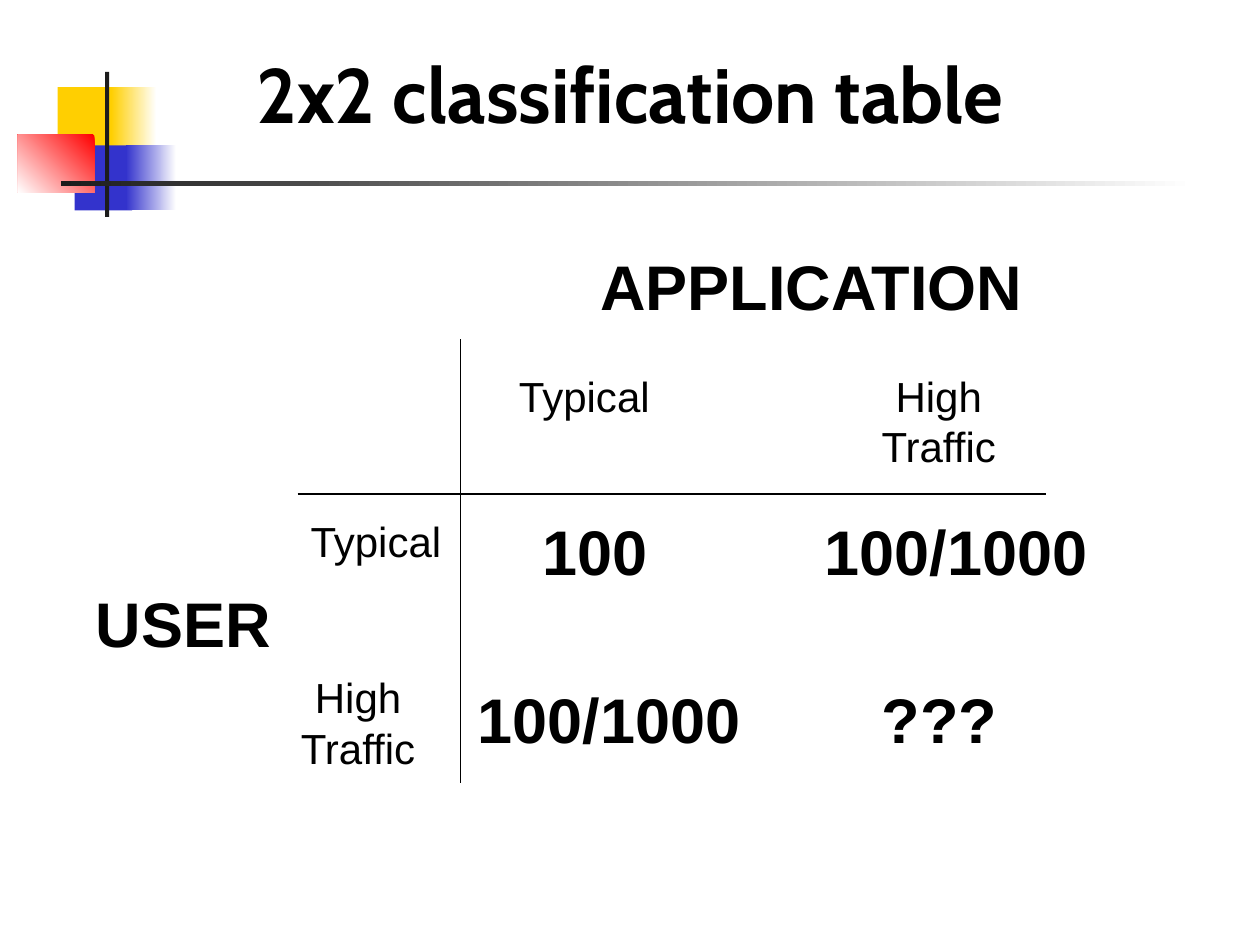
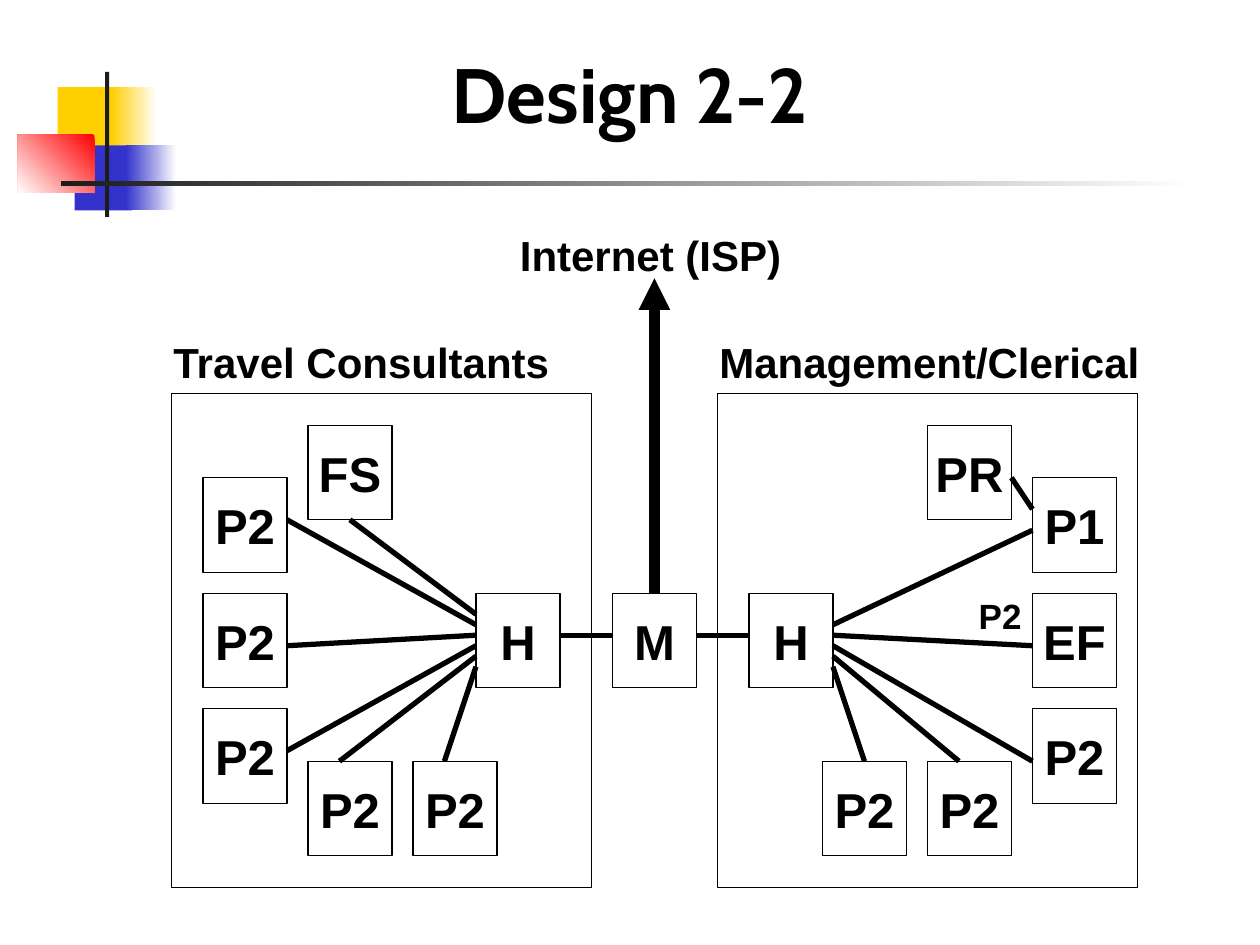
from lxml import etree
from pptx import Presentation
from pptx import util as u
from pptx.dml.color import RGBColor
from pptx.enum import shapes, text
from pptx.oxml.ns import qn

BLACK, WHITE, DARK = "000000", "FFFFFF", "1C1C1C"
GOLD, BLUE, RED = "FFCF01", "3333CC", "FF0000"
HEAD, BODY = "Cabin", "Arial"
MID, LEFT = text.PP_ALIGN.CENTER, text.PP_ALIGN.LEFT
UNIT = u.Inches(10) / 120
NET = (16.33, 37.5)
NODE = (8, 9)

DECOR = [
    ((5.5, 8.3, 5.8, 6.2), (GOLD,), 0),
    ((10.6, 8.3, 4.3, 6.2), (WHITE, GOLD), 180),
    ((7.1, 13.85, 5.5, 6.2), (BLUE,), 0),
    ((12, 13.85, 4.8, 6.2), (WHITE, BLUE), 180),
    ((1.7, 12.85, 7.3, 5.5), (RED, WHITE), 225),
    ((10, 6.85, 0.4, 13.8), (DARK,), 0),
    ((5.8, 17.25, 108, 0.45), (WHITE, DARK), 180),
]
HEADS = [
    ("USER", 7.95, 55.1, 19.5),
    ("APPLICATION", 56, 22.95, 43.5),
    ("100", 50.5, 48.2, 12.8),
    ("100/1000", 77.35, 48.2, 27.8),
    ("100/1000", 44.3, 64.2, 27.8),
    ("???", 82.8, 64.2, 14),
]
LEVELS = [
    ("Typical", 48.25, 34.7, 15.4),
    ("High\nTraffic", 82.5, 34.7, 13.8),
    ("Typical", 28.4, 48.5, 15.4),
    ("High\nTraffic", 27.2, 63.4, 13.8),
]
NODES = [
    ("FS", 13, 3), ("P2", 3, 8), ("P2", 3, 19), ("P2", 3, 30),
    ("P2", 13, 35), ("P2", 23, 35), ("H", 29, 19), ("M", 42, 19),
    ("H", 55, 19), ("PR", 72, 3), ("P1", 82, 8), ("EF", 82, 19),
    ("P2", 82, 30), ("P2", 62, 35), ("P2", 72, 35),
]
WEST = [(17, 12), (11, 12), (11, 24), (11, 34), (16, 35), (26, 35)]
EAST = [(82, 13), (82, 24), (82, 35), (75, 35), (66, 35)]
LINKS = [
    *[(*end, 29, 21 + i) for i, end in enumerate(WEST)],
    *[(*end, 63, 22 + i) for i, end in enumerate(EAST)],
    (37, 23, 42, 23), (50, 23, 55, 23), (82, 11, 80, 8),
]


def tint(code):
    """Turn a hex string into a colour."""
    return RGBColor.from_string(code)


def cells(*nums):
    """Turn grid units into lengths."""
    return [u.Emu(round(n * UNIT)) for n in nums]


def shift(x, y):
    """Move a point from the network's grid to the slide's grid."""
    return x + NET[0], y + NET[1]


def write(frame, words, size, font=BODY, bold=True, align=LEFT):
    """Fill a frame with one paragraph for each line of words."""
    for i, line in enumerate(words.split("\n")):
        para = frame.add_paragraph() if i else frame.paragraphs[0]
        para.alignment = align
        run = para.add_run()
        run.text = line
        run.font.size, run.font.name, run.font.bold = u.Pt(size), font, bold
        run.font.color.rgb = tint(BLACK)


def block(slide, spot, fills=(), angle=0):
    """Add a rectangle: outlined, plain or graded by its number of fills."""
    shape = slide.shapes.add_shape(shapes.MSO_SHAPE.RECTANGLE, *cells(*spot))
    shape.shadow.inherit = False
    if len(fills) == 2:
        shape.fill.gradient()
        shape.fill.gradient_angle = angle
        for stop, code in zip(shape.fill.gradient_stops, fills):
            stop.color.rgb = tint(code)
    elif fills:
        shape.fill.solid()
        shape.fill.fore_color.rgb = tint(fills[0])
    else:
        shape.fill.background()
    if fills:
        shape.line.fill.background()
    else:
        shape.line.color.rgb = tint(BLACK)
        shape.line.width = u.Pt(0.75)
    return shape


def label(slide, words, x, y, wide, size, bold=True):
    """Add a text box that fits its words."""
    lines = words.count("\n") + 1
    high = lines * size * 0.2 + 1.2
    frame = slide.shapes.add_textbox(*cells(x, y, wide, high)).text_frame
    frame.word_wrap = False
    frame.auto_size = text.MSO_AUTO_SIZE.SHAPE_TO_FIT_TEXT
    write(frame, words, size, bold=bold, align=MID if lines > 1 else LEFT)


def line(slide, ends, width, arrow=False):
    """Add a straight line, with an arrowhead at its end if asked."""
    link = slide.shapes.add_connector(
        shapes.MSO_CONNECTOR.STRAIGHT, *cells(*ends))
    link.line.color.rgb = tint(BLACK)
    link.line.width = u.Pt(width)
    props = link.element.spPr
    etree.SubElement(props, qn("a:effectLst"))
    if arrow:
        etree.SubElement(props.find(qn("a:ln")), qn("a:tailEnd"),
                         type="triangle")


def node(slide, name, x, y):
    """Add a named box of the network."""
    frame = block(slide, (*shift(x, y), *NODE)).text_frame
    frame.word_wrap = False
    frame.vertical_anchor = text.MSO_ANCHOR.MIDDLE
    write(frame, name, 28, align=MID)


def start(deck, layout, title):
    """Add a slide with its title."""
    slide = deck.slides.add_slide(layout)
    frame = slide.shapes.title.text_frame
    frame.auto_size = text.MSO_AUTO_SIZE.NONE
    frame.vertical_anchor = text.MSO_ANCHOR.BOTTOM
    frame.margin_left = frame.margin_right = 0
    frame.margin_top = frame.margin_bottom = 0
    write(frame, title, 44, HEAD, align=MID)
    return slide


def theme(layout, slide):
    """Give the layout its title place and its ornament."""
    head = layout.placeholders[0]
    head.left, head.top, head.width, head.height = cells(5.1, 4.4, 109.8, 8.8)
    tree = head.element.getparent()
    for i, (spot, fills, angle) in enumerate(DECOR):
        tree.insert(2 + i, block(slide, spot, fills, angle).element)


def matrix(slide):
    """Draw the table of users and applications."""
    for words, x, y, wide in HEADS:
        label(slide, words, x, y, wide, 36)
    for words, x, y, wide in LEVELS:
        label(slide, words, x, y, wide, 24, False)
    line(slide, (43.85, 32.3, 43.85, 74.6), 0.75)
    line(slide, (28.35, 47.05, 99.6, 47.05), 0.75)


def network(slide):
    """Draw the two rooms, their nodes and the links."""
    rooms = [("Travel Consultants", 0, 39), ("Management/Clerical", 52, 43)]
    for name, x, wide in rooms:
        block(slide, (*shift(x, 0), 40, 47))
        label(slide, name, *shift(x - 1, -6), wide, 24)
    label(slide, "Internet (ISP)", *shift(32, -16.2), 28, 24)
    line(slide, (*shift(46, 19), *shift(46, -11)), 6, True)
    for name, x, y in NODES:
        node(slide, name, x, y)
    for x, y, far, low in LINKS:
        line(slide, (*shift(x, y), *shift(far, low)), 3)
    label(slide, "P2", *shift(75.7, 18.55), 7, 20)


def main():
    """Build the deck."""
    deck = Presentation()
    deck.slide_width, deck.slide_height = cells(120, 90)
    layout = deck.slide_layouts[5]
    first = start(deck, layout, "2x2 classification table")
    theme(layout, first)
    matrix(first)
    network(start(deck, layout, "Design 2-2"))
    deck.save("out.pptx")


if __name__ == "__main__":
    main()
